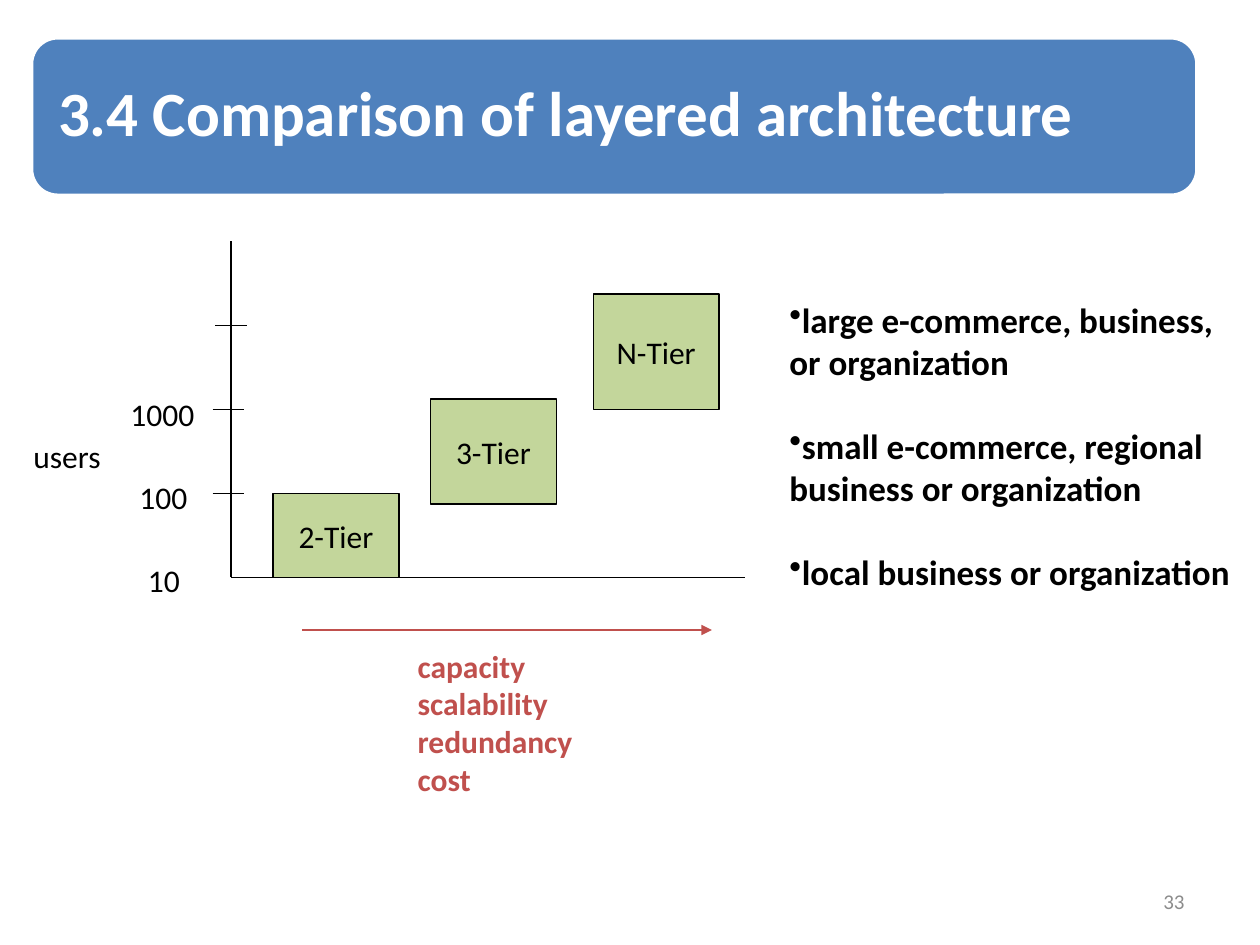
from dataclasses import dataclass
from lxml import etree
from pptx import Presentation
from pptx.dml.color import RGBColor
from pptx.enum.shapes import MSO_CONNECTOR, MSO_SHAPE
from pptx.enum.text import MSO_ANCHOR, MSO_AUTO_SIZE, PP_ALIGN
from pptx.oxml.ns import qn
from pptx.util import Inches, Pt

LINE = MSO_CONNECTOR.STRAIGHT
RECT, ROUND = MSO_SHAPE.RECTANGLE, MSO_SHAPE.ROUNDED_RECTANGLE
MIDDLE, TOP = MSO_ANCHOR.MIDDLE, MSO_ANCHOR.TOP
LEFT, CENTER, RIGHT = PP_ALIGN.LEFT, PP_ALIGN.CENTER, PP_ALIGN.RIGHT
GROW = MSO_AUTO_SIZE.SHAPE_TO_FIT_TEXT

# The slide is a grid of 120 columns by 90 rows
COLS, ROWS = 120, 90
WIDE, HIGH = Inches(10), Inches(7.5)


@dataclass(frozen=True)
class Theme:
    font: str = "Calibri"
    blue: str = "4F81BD"
    green: str = "C3D69B"
    red: str = "C0504D"
    gray: str = "8C8C8C"
    black: str = "000000"
    white: str = "FFFFFF"
    title: int = 36
    list: int = 20
    body: int = 18
    small: int = 12
    thin: float = 0.75
    edge: float = 2


THEME = Theme()


def color(code):
    return RGBColor.from_string(code)


def place(col, row, wide, high):
    return (round(col * WIDE / COLS), round(row * HIGH / ROWS),
            round(wide * WIDE / COLS), round(high * HIGH / ROWS))


def write(frame, lines, size, tint, bold=False, align=LEFT, gap=0, mark=None):
    for i, line in enumerate(lines):
        para = frame.paragraphs[0] if i == 0 else frame.add_paragraph()
        para.alignment = align
        if i and gap:
            para.space_before = Pt(gap)
        if mark:
            props = para._p.get_or_add_pPr()
            props.set("marL", "0")
            props.set("indent", "0")
            etree.SubElement(props, qn("a:buChar")).set("char", mark)
        run = para.add_run()
        run.text = line
        font = run.font
        font.name, font.size, font.bold = THEME.font, Pt(size), bold
        font.color.rgb = color(tint)


def label(slide, box, lines, size=THEME.body, tint=THEME.black,
          wrap=False, anchor=TOP, **style):
    frame = slide.shapes.add_textbox(*place(*box)).text_frame
    frame.word_wrap = wrap
    frame.auto_size = GROW
    frame.vertical_anchor = anchor
    write(frame, lines, size, tint, **style)


def block(slide, kind, box, fill, edge, width):
    shape = slide.shapes.add_shape(kind, *place(*box))
    shape.shadow.inherit = False
    shape.fill.solid()
    shape.fill.fore_color.rgb = color(fill)
    shape.line.color.rgb = color(edge)
    shape.line.width = Pt(width)
    shape.text_frame.vertical_anchor = MIDDLE
    return shape.text_frame


def rule(slide, x1, y1, x2, y2, tint=THEME.black, arrow=False):
    line = slide.shapes.add_connector(
        LINE, *place(x1, y1, x2, y2))
    line.line.color.rgb = color(tint)
    line.line.width = Pt(THEME.thin)
    props = line._element.spPr
    if arrow:
        tail = etree.SubElement(props.find(qn("a:ln")), qn("a:tailEnd"))
        tail.set("type", "triangle")
    etree.SubElement(props, qn("a:effectLst"))


def banner(slide, text):
    frame = block(slide, ROUND, (3, 3.6, 111, 15),
                  THEME.blue, THEME.white, THEME.edge)
    frame.word_wrap = True
    frame.margin_left = frame.margin_right = Inches(0.15)
    frame.margin_top = frame.margin_bottom = Inches(0.15)
    write(frame, [text], THEME.title, THEME.white, bold=True)
    frame.paragraphs[0].line_spacing = 0.9


def axes(slide):
    left, base, step = 22, 55, 8
    rule(slide, left, 23, left, base)
    rule(slide, left, base, 71, base)
    for i, start in enumerate((20.25, 20.25, 20.5), 1):
        rule(slide, start, base - i * step, start + 3, base - i * step)
    # Scale values are centred on one column
    for i, (text, wide) in enumerate((("10", 5.8), ("100", 7.4), ("1000", 9.1))):
        label(slide, (15.8 - wide / 2, 52.8 - i * 7.9, wide, 4.8), [text])
    label(slide, (2, 41, 9.7, 4.8), ["users"])


def tiers(slide):
    for text, col, row, high in (("2-Tier", 26, 47, 8), ("3-Tier", 41, 38, 10),
                                 ("N-Tier", 56.5, 28, 11)):
        frame = block(slide, RECT, (col, row, 12, high),
                      THEME.green, THEME.black, THEME.thin)
        frame.word_wrap = False
        write(frame, [text], THEME.body, THEME.black, align=CENTER)


def main():
    deck = Presentation()
    deck.slide_width, deck.slide_height = WIDE, HIGH
    slide = deck.slides.add_slide(deck.slide_layouts[6])

    # Title and page number
    banner(slide, "3.4 Comparison of layered architecture")
    label(slide, (86, 83.4, 28, 4.8), ["33"], THEME.small, THEME.gray,
          wrap=True, anchor=MIDDLE, align=RIGHT)

    # Diagram of users by tier
    axes(slide)
    tiers(slide)

    # Typical users of each tier
    label(slide, (74, 27.8, 46, 29.4),
          ["large e-commerce, business, or organization",
           "small e-commerce, regional business or organization",
           "local business or organization"],
          THEME.list, wrap=True, bold=True, gap=24, mark="•")

    # Qualities that rise along the arrow
    rule(slide, 28.8, 60, 67.8, 60, THEME.red, arrow=True)
    label(slide, (38.6, 61, 19.4, 15.6),
          ["capacity", "scalability", "redundancy", "cost"],
          tint=THEME.red, bold=True)
    deck.save("out.pptx")


if __name__ == "__main__":
    main()
